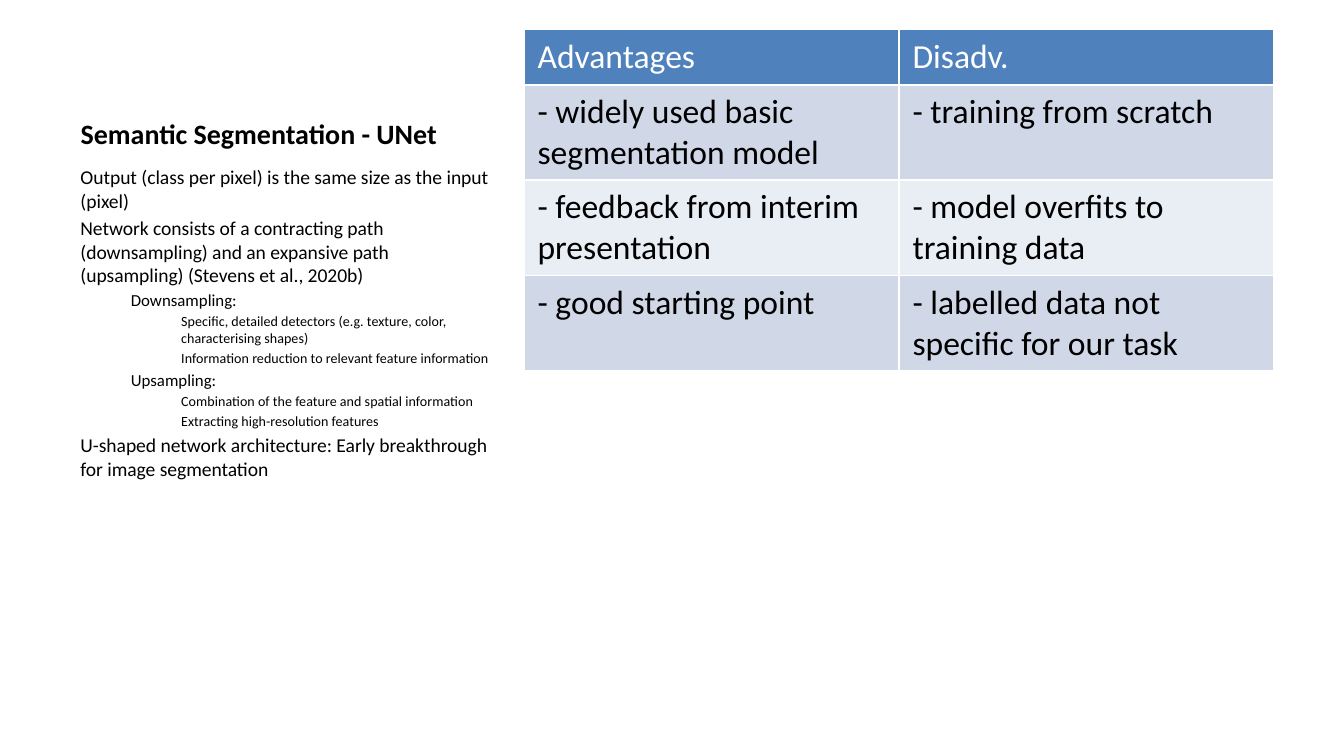
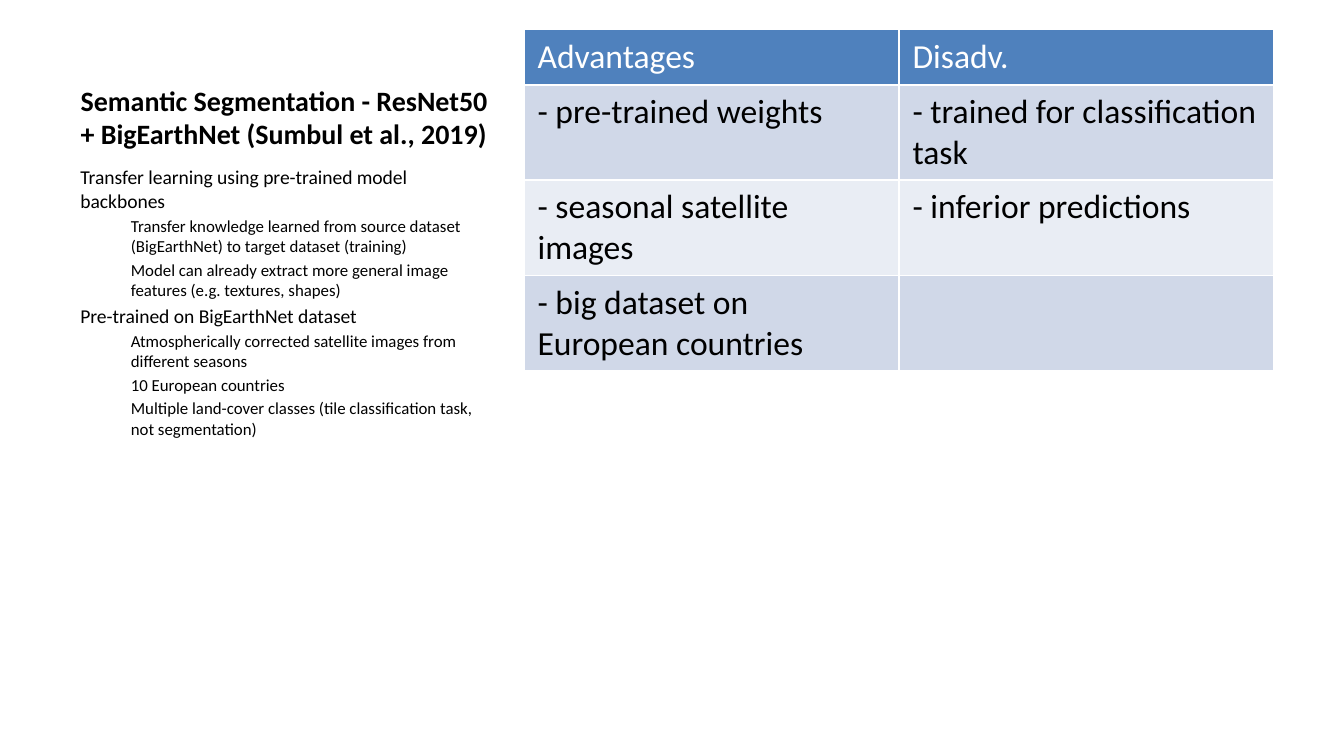
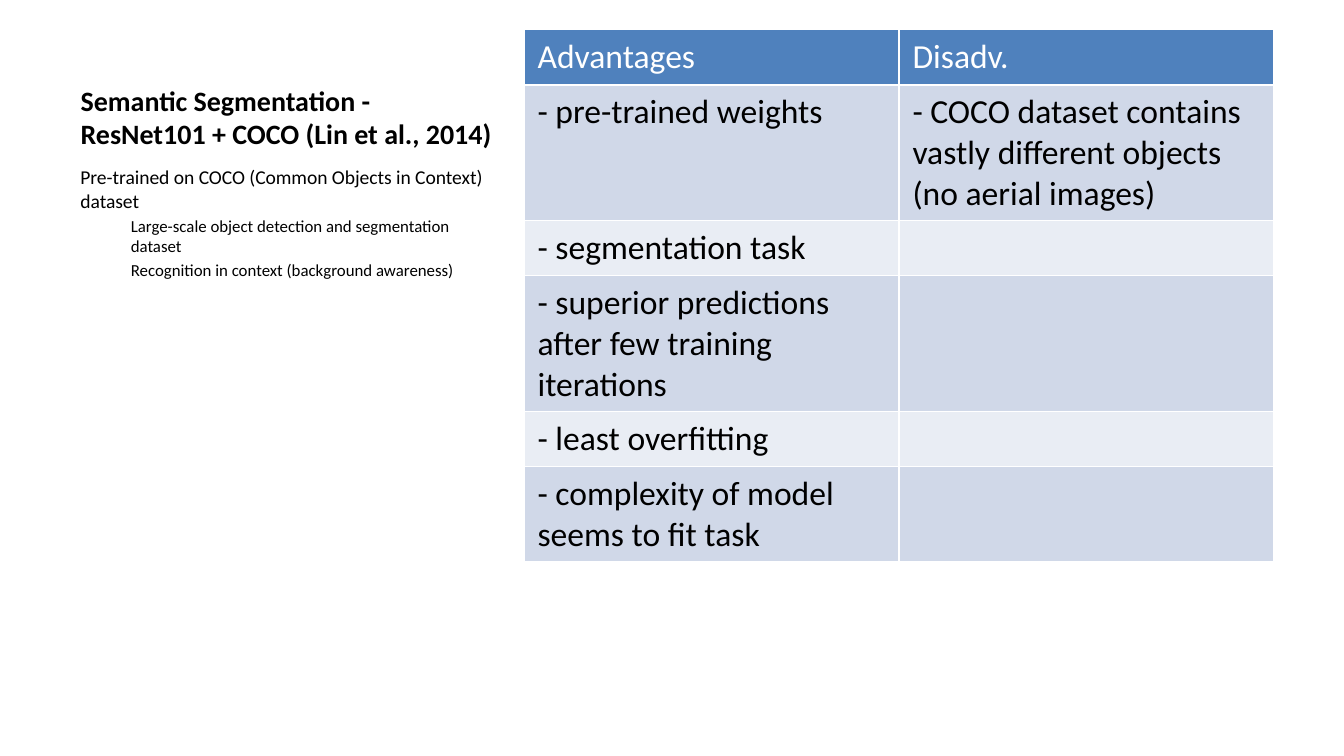
from pptx import Presentation
from pptx.dml.color import RGBColor
from pptx.enum.text import MSO_ANCHOR, MSO_AUTO_SIZE, PP_ALIGN
from pptx.util import Inches, Pt

# Shared look
FONT = "Calibri"
BLACK = RGBColor(0x00, 0x00, 0x00)
WHITE = RGBColor(0xFF, 0xFF, 0xFF)
HEADER_BLUE = RGBColor(0x4F, 0x81, 0xBD)
BANDS = (RGBColor(0xD0, 0xD8, 0xE8), RGBColor(0xE9, 0xED, 0xF4))
TITLE_ONLY = 5

# Shared regions: left, top, width, height in inches
TITLE_BOX = (0.5, 0.22, 3.29, 0.95)
NOTES_BOX = (0.5, 1.18, 3.29, 3.85)
TABLE_BOX = (3.9, 0.22, 5.58, 4.79)

HEADER = ("Advantages", "Disadv.")

# Each slide: title, outline of (level, text), rows of (advantage, disadvantage)
SLIDES = [
    (
        "Semantic Segmentation - UNet",
        [
            (0, "Output (class per pixel) is the same size as the input (pixel)"),
            (0, "Network consists of a contracting path (downsampling) and an "
                "expansive path (upsampling) (Stevens et al., 2020b)"),
            (1, "Downsampling:"),
            (2, "Specific, detailed detectors (e.g. texture, color, characterising shapes)"),
            (2, "Information reduction to relevant feature information"),
            (1, "Upsampling:"),
            (2, "Combination of the feature and spatial information"),
            (2, "Extracting high-resolution features"),
            (0, "U-shaped network architecture: Early breakthrough for image segmentation"),
        ],
        [
            ("- widely used basic segmentation model", "- training from scratch"),
            ("- feedback from interim presentation", "- model overfits to training data"),
            ("- good starting point", "- labelled data not specific for our task"),
        ],
    ),
    (
        "Semantic Segmentation - ResNet50 + BigEarthNet (Sumbul et al., 2019)",
        [
            (0, "Transfer learning using pre-trained model backbones"),
            (1, "Transfer knowledge learned from source dataset (BigEarthNet) "
                "to target dataset (training)"),
            (1, "Model can already extract more general image features "
                "(e.g. textures, shapes)"),
            (0, "Pre-trained on BigEarthNet dataset"),
            (1, "Atmospherically corrected satellite images from different seasons"),
            (1, "10 European countries"),
            (1, "Multiple land-cover classes (tile classification task, not segmentation)"),
        ],
        [
            ("- pre-trained weights", "- trained for classification task"),
            ("- seasonal satellite images", "- inferior predictions"),
            ("- big dataset on European countries", ""),
        ],
    ),
    (
        "Semantic Segmentation - ResNet101 + COCO (Lin et al., 2014)",
        [
            (0, "Pre-trained on COCO (Common Objects in Context) dataset"),
            (1, "Large-scale object detection and segmentation dataset"),
            (1, "Recognition in context (background awareness)"),
        ],
        [
            ("- pre-trained weights",
             "- COCO dataset contains vastly different objects (no aerial images)"),
            ("- segmentation task", ""),
            ("- superior predictions after few training iterations", ""),
            ("- least overfitting", ""),
            ("- complexity of model seems to fit task", ""),
        ],
    ),
]


def add_run(p, text, size, color=BLACK, bold=False):
    r = p.add_run()
    r.text = text
    r.font.name = FONT
    r.font.size = Pt(size)
    r.font.bold = bold
    r.font.color.rgb = color


def set_title(s, box, text):
    sp = s.shapes.title
    sp.left, sp.top, sp.width, sp.height = map(Inches, box)
    tf = sp.text_frame
    tf.word_wrap = True
    tf.auto_size = MSO_AUTO_SIZE.NONE
    tf.vertical_anchor = MSO_ANCHOR.BOTTOM
    p = tf.paragraphs[0]
    p.alignment = PP_ALIGN.LEFT
    add_run(p, text, 15, bold=True)


def add_outline(s, box, items):
    tf = s.shapes.add_textbox(*map(Inches, box)).text_frame
    tf.word_wrap = True
    for i, (level, text) in enumerate(items):
        p = tf.add_paragraph() if i else tf.paragraphs[0]
        size = 10.5 - 1.5 * level
        p.level = level
        p.space_before = Pt(size * 0.2)
        # Each level is indented by three eighths of an inch
        pPr = p._p.get_or_add_pPr()
        pPr.set("marL", str(Inches(level * 3 / 8)))
        pPr.set("indent", "0")
        add_run(p, text, size)


def add_comparison(s, box, rows):
    rows = [HEADER, *rows]
    frame = s.shapes.add_table(len(rows), len(HEADER), *map(Inches, box))
    table = frame.table
    for i, texts in enumerate(rows):
        table.rows[i].height = 0  # rows grow to fit their text
        fill = BANDS[(i - 1) % 2] if i else HEADER_BLUE
        for j, text in enumerate(texts):
            cell = table.cell(i, j)
            cell.margin_bottom = Inches(0.06)
            cell.fill.solid()
            cell.fill.fore_color.rgb = fill
            if text:
                add_run(cell.text_frame.paragraphs[0], text, 18, BLACK if i else WHITE)
    frame.height = Inches(box[3])


def add_model_slide(prs, title, outline, rows):
    s = prs.slides.add_slide(prs.slide_layouts[TITLE_ONLY])
    set_title(s, TITLE_BOX, title)
    add_outline(s, NOTES_BOX, outline)
    add_comparison(s, TABLE_BOX, rows)


def main():
    prs = Presentation()
    prs.slide_width = Inches(10)
    prs.slide_height = prs.slide_width * 9 // 16
    for title, outline, rows in SLIDES:
        add_model_slide(prs, title, outline, rows)
    prs.save("out.pptx")


if __name__ == "__main__":
    main()
